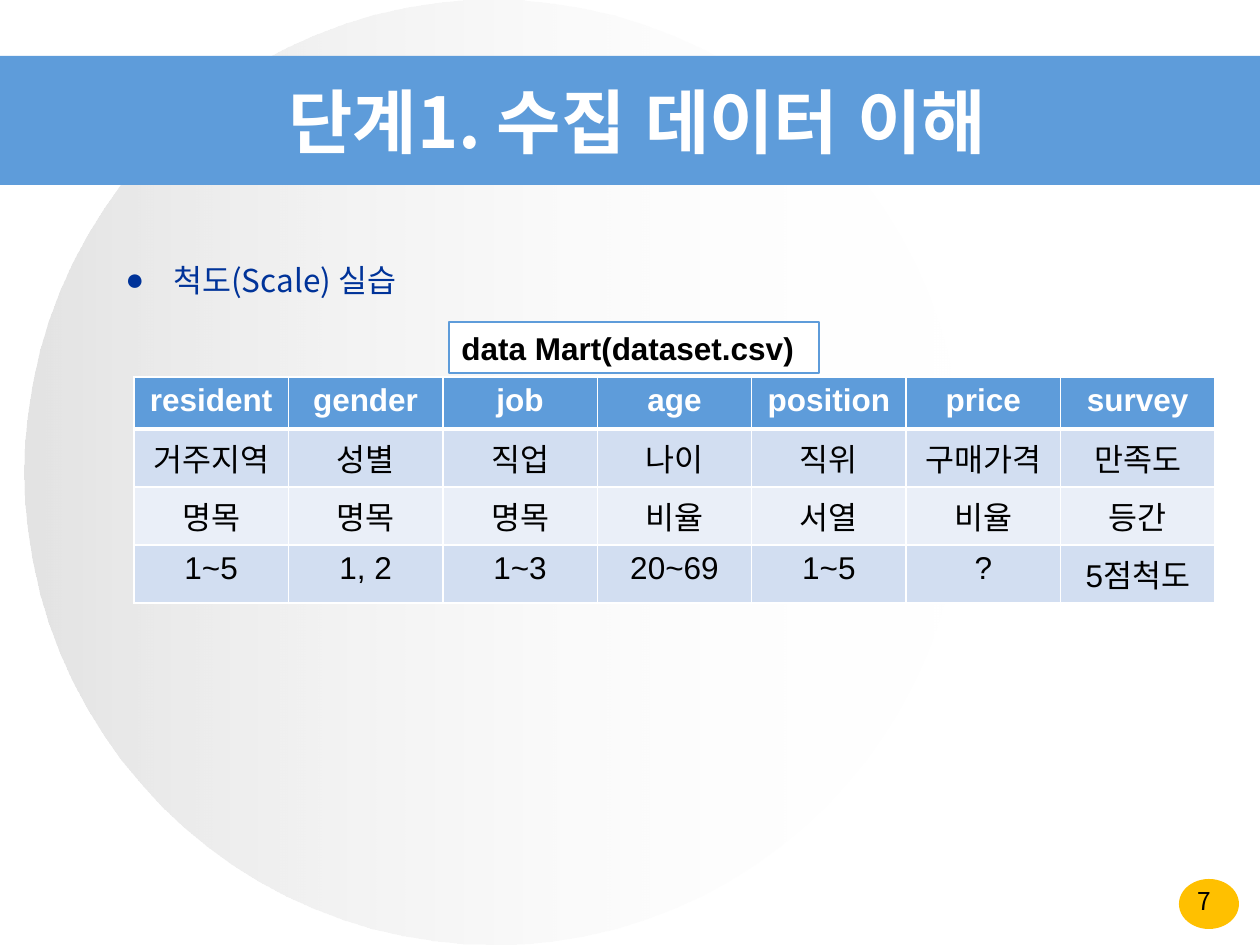
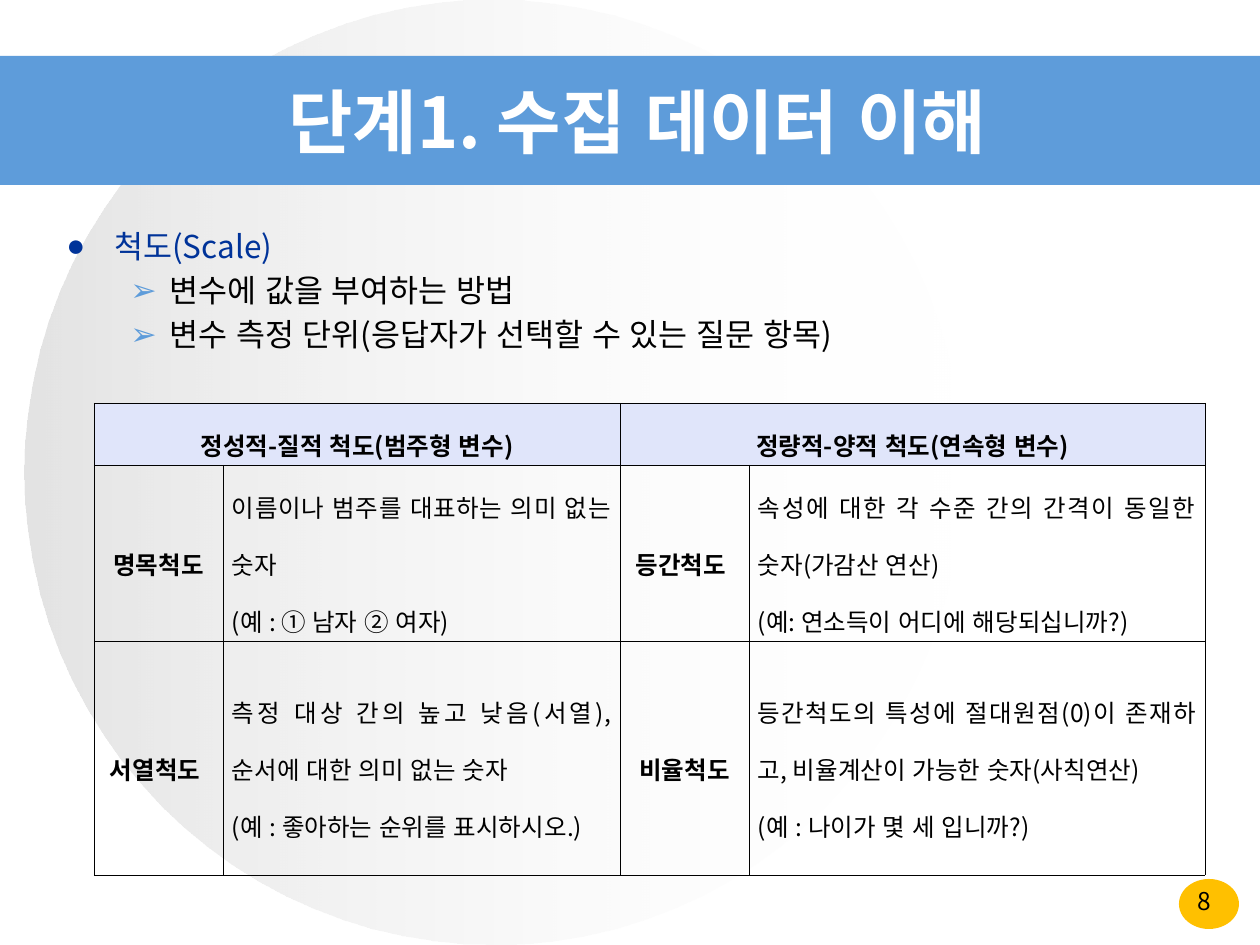
from lxml.etree import SubElement
from pptx import Presentation
from pptx.dml.color import RGBColor
from pptx.enum.lang import MSO_LANGUAGE_ID as Language
from pptx.enum.shapes import MSO_SHAPE as Preset
from pptx.enum.text import MSO_ANCHOR as Anchor, PP_ALIGN as Align
from pptx.oxml import parse_xml
from pptx.oxml.ns import nsdecls, qn
from pptx.util import Emu, Pt

SLIDE_WIDTH, SLIDE_HEIGHT = 1260, 945
EMU_PER_PX = 914400 / 126

KOREAN, LATIN = "Noto Sans CJK KR", "Arial"
BLUE, NAVY, AMBER = "5E9CDA", "003399", "FFC000"
WHITE, BLACK, GREY = "FFFFFF", "000000", "C0C0C0"
BAND_DARK, BAND_LIGHT, LAVENDER = "D2DEF1", "EAEFF8", "E0E5FA"

TITLE = "단계1. 수집 데이터 이해"
# Per outline level: bullet, bullet colour, text colour, left margin, hanging indent
LEVELS = [("●", NAVY, NAVY, 48, 48), ("➢", BLUE, BLACK, 103, 39)]

VARIABLES = [
    ["resident", "gender", "job", "age", "position", "price", "survey"],
    ["거주지역", "성별", "직업", "나이", "직위", "구매가격", "만족도"],
    ["명목", "명목", "명목", "비율", "서열", "비율", "등간"],
    ["1~5", "1, 2", "1~3", "20~69", "1~5", "?", "5점척도"],
]
SCALE_GROUPS = ["정성적-질적 척도(범주형 변수)", "정량적-양적 척도(연속형 변수)"]
SCALES = [
    ["명목척도",
     ["이름이나 범주를 대표하는 의미 없는 숫자", "(예 : ① 남자 ② 여자)"],
     "등간척도 ",
     ["속성에 대한 각 수준 간의 간격이 동일한 숫자(가감산 연산)",
      "(예: 연소득이 어디에 해당되십니까?)"]],
    ["서열척도 ",
     ["측정 대상 간의 높고 낮음(서열), 순서에 대한 의미 없는 숫자",
      "(예 : 좋아하는 순위를 표시하시오.)"],
     "비율척도",
     ["등간척도의 특성에 절대원점(0)이 존재하고, 비율계산이 가능한 숫자(사칙연산)",
      "(예 : 나이가 몇 세 입니까?)"]],
]


def px(length):
    return Emu(round(length * EMU_PER_PX))


def color(value):
    return RGBColor.from_string(value)


def add_run(paragraph, text, size, text_color=BLACK, font=KOREAN, bold=False):
    run = paragraph.add_run()
    run.text = text
    run.font.size = Pt(size)
    run.font.bold = bold
    run.font.name = font
    run.font.language_id = Language.KOREAN
    run.font.color.rgb = color(text_color)
    latin = run.font._element.find(qn("a:latin"))
    latin.addnext(parse_xml(f'<a:ea {nsdecls("a")} typeface="{KOREAN}"/>'))


def write_lines(frame, lines, size, align, spacing=None, **style):
    """Write one paragraph per line."""
    for index, line in enumerate(lines):
        paragraph = frame.paragraphs[0] if index == 0 else frame.add_paragraph()
        paragraph.alignment = align
        paragraph.line_spacing = spacing
        add_run(paragraph, line, size, **style)


def add_preset(slide, preset, box, fill=None, line=None):
    shape = slide.shapes.add_shape(preset, *map(px, box))
    shape.shadow.inherit = False
    if fill:
        shape.fill.solid()
        shape.fill.fore_color.rgb = color(fill)
    if line:
        shape.line.color.rgb = color(line)
        shape.line.width = Pt(0.75)
    else:
        shape.line.fill.background()
    return shape


def add_text_box(slide, box, anchor=Anchor.TOP):
    frame = slide.shapes.add_textbox(*map(px, box)).text_frame
    frame.word_wrap = True
    frame.vertical_anchor = anchor
    return frame


def add_faded_circle(slide):
    """Large circle fading from translucent grey to clear."""
    fill = add_preset(slide, Preset.OVAL, (24, 0, 938, SLIDE_HEIGHT)).fill
    fill.gradient()
    fill.gradient_angle = 0
    for stop, (value, opacity) in zip(fill.gradient_stops, [(GREY, 44), (WHITE, 0)]):
        stop.color.rgb = color(value)
        rgb = stop._gs.find(qn("a:srgbClr"))
        SubElement(rgb, qn("a:alpha")).set("val", str(opacity * 1000))


def add_base_slide(presentation, number):
    """Blank slide with background, title band and page number."""
    slide = presentation.slides.add_slide(presentation.slide_layouts[6])
    add_preset(slide, Preset.OVAL, (1179, 879, 60, 50), AMBER)
    add_faded_circle(slide)
    add_preset(slide, Preset.RECTANGLE, (0, 56, SLIDE_WIDTH, 129), BLUE)
    title = add_text_box(slide, (15, 73, 1245, 95), Anchor.MIDDLE)
    write_lines(title, [TITLE], 40, Align.CENTER, text_color=WHITE, bold=True)
    page = add_text_box(slide, (1149, 880, 111, 37))
    write_lines(page, [str(number)], 14, Align.CENTER)
    return slide


def add_outline(slide, box, items):
    """Bulleted list from (level, text) pairs."""
    frame = add_text_box(slide, box)
    for index, (level, text) in enumerate(items):
        bullet, bullet_color, text_color, margin, hanging = LEVELS[level]
        paragraph = frame.paragraphs[0] if index == 0 else frame.add_paragraph()
        paragraph.level = level
        paragraph.space_before = Pt(3.6)
        properties = paragraph._p.get_or_add_pPr()
        properties.set("marL", str(px(margin)))
        properties.set("indent", str(px(-hanging)))
        mark = SubElement(properties, qn("a:buClr"))
        SubElement(mark, qn("a:srgbClr")).set("val", bullet_color)
        SubElement(properties, qn("a:buFont")).set("typeface", LATIN)
        SubElement(properties, qn("a:buChar")).set("char", bullet)
        add_run(paragraph, text, 18, text_color)


def add_plain_table(slide, left, top, widths, heights):
    box = (left, top, sum(widths), sum(heights))
    table = slide.shapes.add_table(len(heights), len(widths), *map(px, box)).table
    table.first_row = table.horz_banding = False
    for column, width in zip(table.columns, widths):
        column.width = px(width)
    for row, height in zip(table.rows, heights):
        row.height = px(height)
    return table


def style_cell(cell, fill, line, left=1, right=1, top=1, bottom=1):
    """Set the fill and the border widths in points."""
    if fill:
        cell.fill.solid()
        cell.fill.fore_color.rgb = color(fill)
    else:
        cell.fill.background()
    properties = cell._tc.get_or_add_tcPr()
    for index, (side, width) in enumerate(zip("LRTB", (left, right, top, bottom))):
        properties.insert(index, parse_xml(
            f'<a:ln{side} {nsdecls("a")} w="{Pt(width)}"><a:solidFill>'
            f'<a:srgbClr val="{line}"/></a:solidFill></a:ln{side}>'))


def add_variable_table(slide):
    count = len(VARIABLES[0])
    table = add_plain_table(slide, 134, 377, [1081 / count] * count, [52, 58, 58, 58])
    fills = [BLUE, BAND_DARK, BAND_LIGHT, BAND_DARK]
    for row, (texts, fill) in enumerate(zip(VARIABLES, fills)):
        header = row == 0
        for column, text in enumerate(texts):
            cell = table.cell(row, column)
            style_cell(cell, fill, WHITE, top=3 if row == 1 else 1, bottom=3 if header else 1)
            write_lines(cell.text_frame, [text], 18, Align.CENTER, font=LATIN,
                        text_color=WHITE if header else BLACK, bold=header)


def fill_scale_cell(cell, lines, align, bold):
    cell.vertical_anchor = Anchor.MIDDLE
    cell.margin_left = cell.margin_right = px(9)
    cell.margin_top = cell.margin_bottom = px(2)
    write_lines(cell.text_frame, lines, 14, align, spacing=1.6, bold=bold)


def add_scale_table(slide):
    widths, heights = [129, 397, 129, 456], [62, 176, 234]
    table = add_plain_table(slide, 94, 403, widths, heights)
    for row in range(len(heights)):
        for column in range(len(widths)):
            style_cell(table.cell(row, column), None if row else LAVENDER, BLACK,
                       0.28, 0.28, 0.28, 0.28)
    for index, group in enumerate(SCALE_GROUPS):
        first = table.cell(0, 2 * index)
        first.merge(table.cell(0, 2 * index + 1))
        fill_scale_cell(first, [group], Align.CENTER, True)
    for row, entries in enumerate(SCALES, start=1):
        for column, entry in enumerate(entries):
            cell = table.cell(row, column)
            if column % 2 == 0:
                fill_scale_cell(cell, [entry], Align.CENTER, True)
            else:
                fill_scale_cell(cell, entry, Align.JUSTIFY, False)


def add_scale_practice(presentation):
    slide = add_base_slide(presentation, 7)
    caption = add_preset(slide, Preset.RECTANGLE, (449, 322, 370, 51), WHITE, BLUE)
    write_lines(caption.text_frame, ["data Mart(dataset.csv)"], 18, Align.LEFT,
                font=LATIN, bold=True)
    add_outline(slide, (113, 255, 786, 69), [(0, "척도(Scale) 실습")])
    add_variable_table(slide)


def add_scale_overview(presentation):
    slide = add_base_slide(presentation, 8)
    add_outline(slide, (54, 221, 1134, 163), [
        (0, "척도(Scale)"),
        (1, "변수에 값을 부여하는 방법"),
        (1, "변수 측정 단위(응답자가 선택할 수 있는 질문 항목)"),
    ])
    add_scale_table(slide)


def main():
    presentation = Presentation()
    presentation.slide_width = px(SLIDE_WIDTH)
    presentation.slide_height = px(SLIDE_HEIGHT)
    add_scale_practice(presentation)
    add_scale_overview(presentation)
    presentation.save("out.pptx")


if __name__ == "__main__":
    main()
